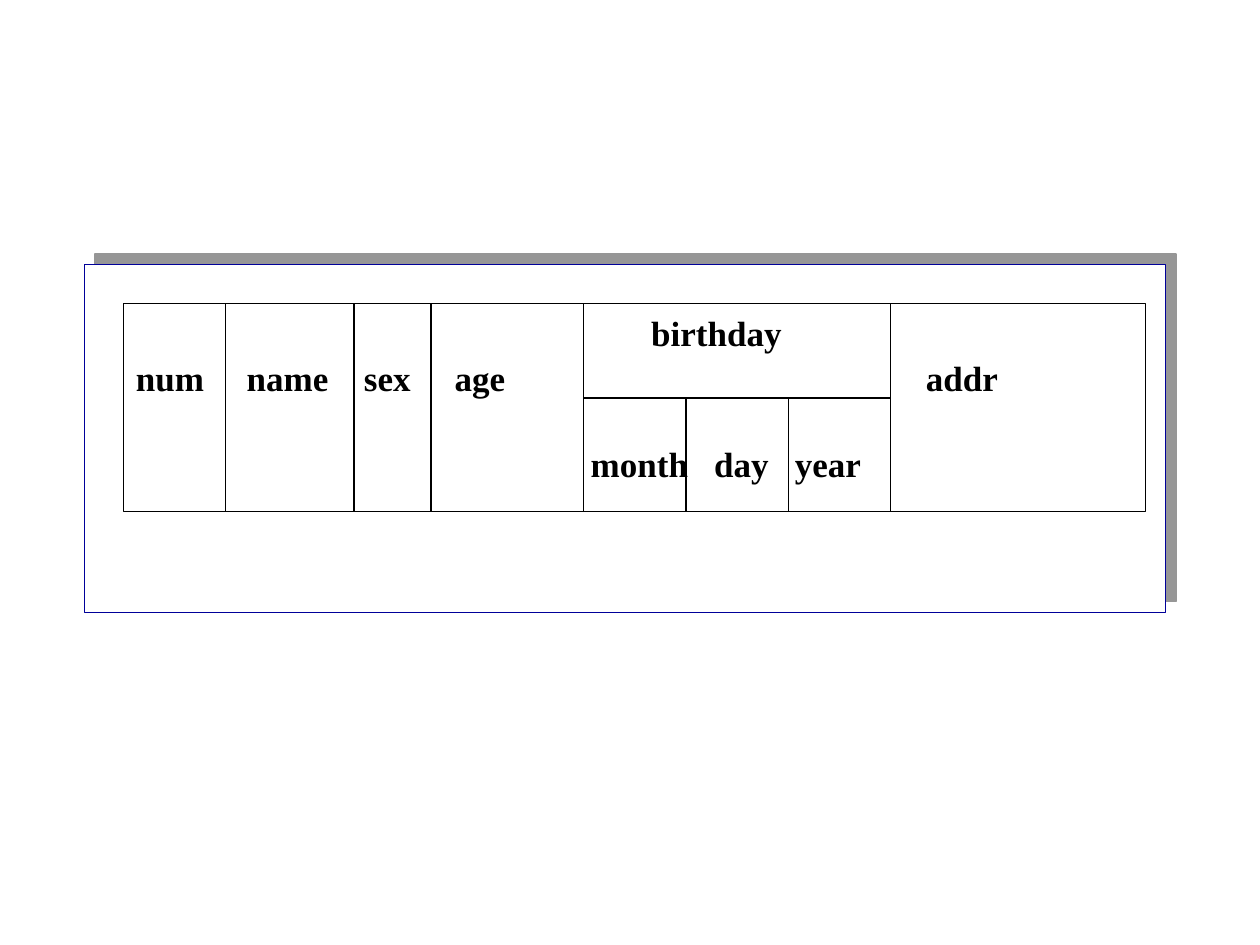
import pptx
import pptx.util
import pptx.dml.color
import pptx.enum.shapes
import pptx.enum.text
import pptx.oxml.ns
import lxml.etree

Inches = pptx.util.Inches
Pt = pptx.util.Pt
RGBColor = pptx.dml.color.RGBColor
WHITE = RGBColor(0xFF, 0xFF, 0xFF)
BLACK = RGBColor(0, 0, 0)
NAVY = RGBColor(0, 0, 0x99)
GRAY = RGBColor(0x96, 0x96, 0x96)
FONT = "Times New Roman"
INSET = 0.1


def add_xml(parent, tag, **attrs):
    return lxml.etree.SubElement(parent, pptx.oxml.ns.qn(tag), attrs)


def add_box(s, left, top, width, height, line):
    sp = s.shapes.add_shape(
        pptx.enum.shapes.MSO_SHAPE.RECTANGLE,
        Inches(left), Inches(top), Inches(width), Inches(height))
    sp.shadow.inherit = False
    sp.fill.solid()
    sp.fill.fore_color.rgb = WHITE
    sp.line.color.rgb = line
    sp.line.width = Pt(0.75)
    return sp


def add_line(s, x1, y1, x2, y2):
    c = s.shapes.add_connector(
        pptx.enum.shapes.MSO_CONNECTOR.STRAIGHT,
        Inches(x1), Inches(y1), Inches(x2), Inches(y2))
    c.line.color.rgb = BLACK
    c.line.width = Pt(0.75)
    add_xml(c._element.spPr, "a:effectLst")


def add_text(p, text, *, tabs=(), size=20, bold=True, color=BLACK, before=0):
    p.alignment = pptx.enum.text.PP_ALIGN.LEFT
    p.line_spacing = 1.05
    p.space_before = Pt(before)
    stops = add_xml(p._p.get_or_add_pPr(), "a:tabLst")
    for x in tabs:
        add_xml(stops, "a:tab", pos=str(Inches(x)), algn="l")
    r = p.add_run()
    r.text = text
    r.font.name = FONT
    r.font.size = Pt(size)
    r.font.bold = bold
    r.font.color.rgb = color


def add_panel(s, left, top, width, height):
    sp = add_box(s, left, top, width, height, NAVY)
    effects = sp._element.spPr.find(pptx.oxml.ns.qn("a:effectLst"))
    shadow = add_xml(effects, "a:outerShdw", dist=str(Pt(8.5)),
                     dir=str(315 * 60000), algn="ctr", rotWithShape="0")
    add_xml(shadow, "a:srgbClr", val=str(GRAY))


def add_record(s, left, top, width, height):
    sp = add_box(s, left, top, width, height, BLACK)
    tf = sp.text_frame
    tf.word_wrap = True
    tf.vertical_anchor = pptx.enum.text.MSO_ANCHOR.TOP
    tf.margin_left = tf.margin_right = Inches(INSET)
    tf.margin_top = tf.margin_bottom = Inches(0.05)
    rows = [
        ("\tbirthday", [4.09], 0),
        ("num\tname\tsex\tage\taddr", [0.88, 1.81, 2.53, 6.27], 0),
        ("\tmonth\tday\tyear", [3.61, 4.59, 5.23], 24),
    ]
    for i, (text, tabs, before) in enumerate(rows):
        p = tf.add_paragraph() if i else tf.paragraphs[0]
        add_text(p, text, tabs=tabs, before=before)

    bottom = top + height
    middle = top + 0.75
    birthday, addr = left + 3.65, left + 6.09
    for x in (left + 0.81, left + 1.83, left + 2.44, birthday, addr):
        add_line(s, x, top, x, bottom)
    add_line(s, birthday, middle, addr, middle)
    for i in (1, 2):
        x = birthday + i * (addr - birthday) / 3
        add_line(s, x, middle, x, bottom)


def main():
    prs = pptx.Presentation()
    prs.slide_width = Inches(10)
    prs.slide_height = Inches(7.5)
    s = prs.slides.add_slide(prs.slide_layouts[6])
    add_panel(s, 0.67, 2.1, 8.58, 2.76)
    add_record(s, 0.98, 2.41, 8.11, 1.65)
    prs.save("out.pptx")


if __name__ == "__main__":
    main()
